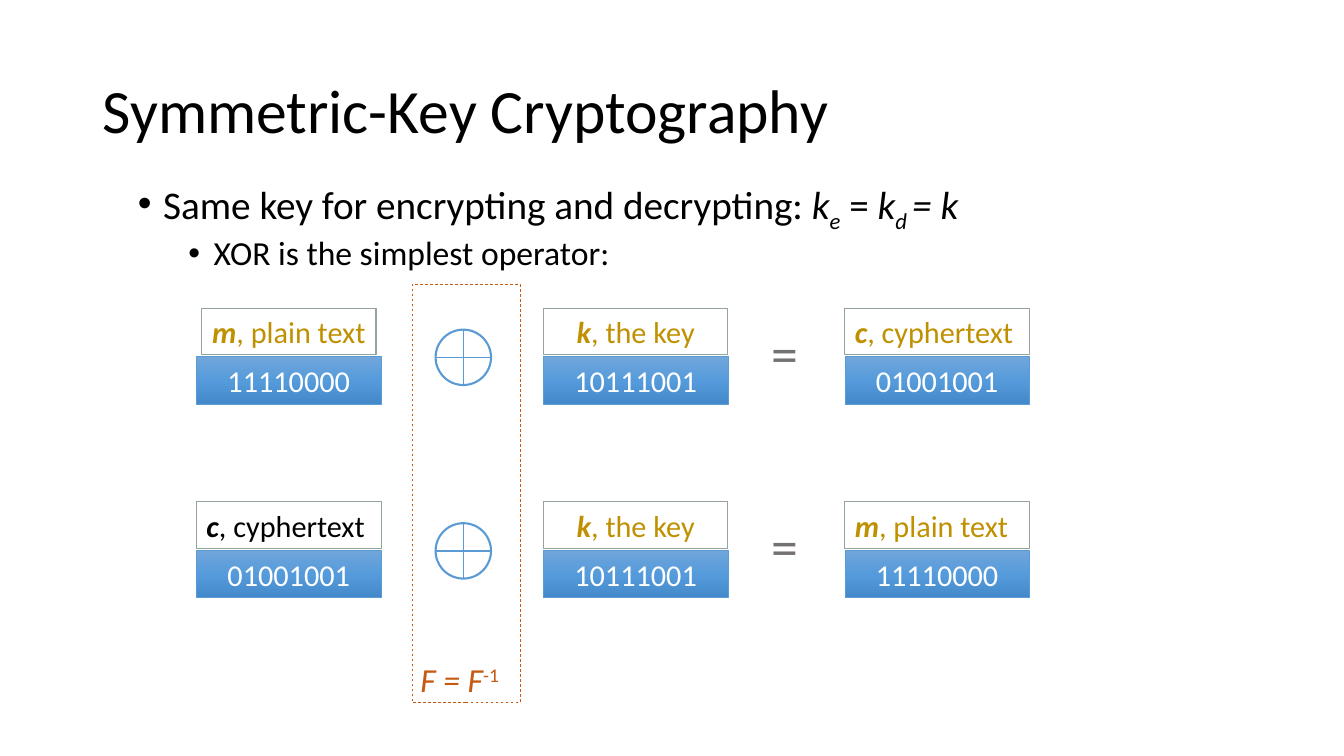
import copy
from dataclasses import dataclass
from typing import Any, NamedTuple, Optional

import pptx
import pptx.dml.color
import pptx.enum.dml
import pptx.enum.shapes
import pptx.enum.text
import pptx.oxml
import pptx.oxml.ns
import pptx.util

Inches = pptx.util.Inches
Pt = pptx.util.Pt
Align = pptx.enum.text.PP_ALIGN
Anchor = pptx.enum.text.MSO_ANCHOR
Preset = pptx.enum.shapes.MSO_SHAPE


@dataclass(frozen=True)
class Theme:
    """Fonts, colours and type sizes."""
    font: str = "Calibri"
    black: str = "000000"
    white: str = "FFFFFF"
    gold: str = "BF9000"
    gray: str = "767171"
    blue: str = "5B9BD5"
    orange: str = "C55A11"
    label_border: str = "95A39D"
    gradient: tuple[str, ...] = ("71A6DB", "559BDB", "448ACA")
    title_size: float = 44
    body_size: float = 28
    detail_size: float = 24
    block_size: float = 21.6
    equals_size: float = 38.4


class Span(NamedTuple):
    """A stretch of text in one format."""
    text: str
    italic: bool = False
    bold: bool = False
    baseline: int = 0


class Box(NamedTuple):
    """A position and size in inches."""
    left: float
    top: float
    width: float
    height: float


@dataclass(frozen=True)
class Block:
    """A labelled group of bits."""
    left: float
    symbol: str
    meaning: str
    bits: str
    color: str = Theme.gold
    align: Any = Align.LEFT
    label_left: Optional[float] = None
    label_width: float = 1.83


@dataclass(frozen=True)
class Equation:
    """A row combining a message and a key by XOR."""
    top: float
    blocks: tuple[Block, Block, Block]


THEME = Theme()
LEFT, MIDDLE, RIGHT = 1.95, 5.39, 8.38
KEY = Block(MIDDLE, "k", ", the key", "10111001", align=Align.CENTER)
EQUATIONS = (
    Equation(3.06, (
        Block(LEFT, "m", ", plain text", "11110000", align=Align.CENTER,
              label_left=2, label_width=1.73),
        KEY,
        Block(RIGHT, "c", ", cyphertext", "01001001"))),
    Equation(4.98, (
        Block(LEFT, "c", ", cyphertext", "01001001", color=THEME.black),
        KEY,
        Block(RIGHT, "m", ", plain text", "11110000"))),
)


def rgb(color: str) -> Any:
    """Turn a hex string into a colour."""
    return pptx.dml.color.RGBColor.from_string(color)


def write_text(shape: Any, *spans: Span, size: float, color: str, align: Any = Align.LEFT,
               anchor: Any = Anchor.TOP, wrap: bool = True, line_spacing: float = 1,
               space_before: float = 0, bullet_indent: float = 0, append: bool = False) -> None:
    """Write one formatted paragraph into a shape."""
    frame = shape.text_frame
    frame.word_wrap = wrap
    frame.vertical_anchor = anchor
    paragraph = frame.add_paragraph() if append else frame.paragraphs[0]
    paragraph.alignment = align
    paragraph.line_spacing = line_spacing
    paragraph.space_before = Pt(space_before)
    if bullet_indent:
        properties = paragraph._p.get_or_add_pPr()
        properties.set("marL", str(Inches(bullet_indent)))
        properties.set("indent", str(Inches(-0.25)))
        for tag, key, value in (("a:buFont", "typeface", "Arial"), ("a:buChar", "char", "•")):
            bullet = pptx.oxml.ns.qn(tag)
            properties.append(properties.makeelement(bullet, {key: value}))
    for span in spans:
        run = paragraph.add_run()
        run.text = span.text
        run.font.name = THEME.font
        run.font.size = Pt(size)
        run.font.color.rgb = rgb(color)
        run.font.italic = span.italic
        run.font.bold = span.bold
        if span.baseline:
            run._r.get_or_add_rPr().set("baseline", str(span.baseline * 1000))


def add_textbox(slide: Any, box: Box) -> Any:
    """Add an empty text box."""
    return slide.shapes.add_textbox(*map(Inches, box))


def add_outline(slide: Any, preset: Any, box: Box, line: str, width: float) -> Any:
    """Add an unfilled preset shape with a coloured outline."""
    shape = slide.shapes.add_shape(preset, *map(Inches, box))
    shape.shadow.inherit = False
    shape.fill.background()
    shape.line.color.rgb = rgb(line)
    shape.line.width = Pt(width)
    return shape


def fill_gradient(shape: Any, colors: tuple[str, ...]) -> None:
    """Fill a shape with evenly spaced colours from top to bottom."""
    shape.fill.gradient()
    shape.fill.gradient_angle = 270
    stop_list = shape._element.spPr.find(".//" + pptx.oxml.ns.qn("a:gsLst"))
    while len(stop_list) < len(colors):
        stop_list.append(copy.deepcopy(stop_list[0]))
    for index, (stop, color) in enumerate(zip(shape.fill.gradient_stops, colors)):
        stop.position = index / (len(colors) - 1)
        stop.color.rgb = rgb(color)


def add_block(slide: Any, block: Block, top: float) -> None:
    """Draw a label above its bits."""
    label_left = block.left if block.label_left is None else block.label_left
    label = add_outline(slide, Preset.RECTANGLE, Box(label_left, top, block.label_width, 0.46),
                        THEME.label_border, 0.75)
    write_text(label, Span(block.symbol, italic=True, bold=True), Span(block.meaning),
               size=THEME.block_size, color=block.color, align=block.align)
    bits = add_outline(slide, Preset.RECTANGLE, Box(block.left, top + 0.48, 1.83, 0.47),
                       THEME.blue, 0.5)
    fill_gradient(bits, THEME.gradient)
    write_text(bits, Span(block.bits), size=THEME.block_size, color=THEME.white,
               align=Align.CENTER, anchor=Anchor.MIDDLE)


def add_xor(slide: Any, left: float, top: float, size: float = 0.55) -> None:
    """Draw a circled plus."""
    add_outline(slide, Preset.OVAL, Box(left, top, size, size), THEME.blue, 1.5)
    center, middle = left + size / 2, top + size / 2
    for ends in ((center, top, center, top + size), (left, middle, left + size, middle)):
        line = slide.shapes.add_connector(pptx.enum.shapes.MSO_CONNECTOR.STRAIGHT,
                                          *map(Inches, ends))
        line.line.color.rgb = rgb(THEME.blue)
        line.line.width = Pt(1)
        properties = line._element.spPr
        properties.append(properties.makeelement(pptx.oxml.ns.qn("a:effectLst"), {}))


def add_equation(slide: Any, equation: Equation) -> None:
    """Draw one row of blocks and operators."""
    for block in equation.blocks:
        add_block(slide, block, equation.top)
    add_xor(slide, 4.32, equation.top + 0.21)
    equals = add_textbox(slide, Box(7.55, equation.top + 0.06, 0.47, 0.75))
    write_text(equals, Span("="), size=THEME.equals_size, color=THEME.gray, wrap=False)


def main() -> None:
    """Build and save the slide."""
    presentation = pptx.Presentation()
    presentation.slide_width = Inches(13.33)
    presentation.slide_height = Inches(7.5)
    slide = presentation.slides.add_slide(presentation.slide_layouts[6])
    title = add_textbox(slide, Box(0.92, 0.4, 11.5, 1.45))
    write_text(title, Span("Symmetric-Key Cryptography"), size=THEME.title_size,
               color=THEME.black, anchor=Anchor.MIDDLE, line_spacing=0.9)
    body = add_textbox(slide, Box(1.27, 1.75, 10, 1.21))
    write_text(body, Span("Same key for encrypting and decrypting: "), Span("k", True),
               Span("e", True, baseline=-25), Span(" = "), Span("k", True),
               Span("d ", True, baseline=-25), Span("= k", True), size=THEME.body_size,
               color=THEME.black, line_spacing=0.9, space_before=10, bullet_indent=0.25)
    write_text(body, Span("XOR is the simplest operator:"), size=THEME.detail_size,
               color=THEME.black, line_spacing=0.9, space_before=5, bullet_indent=0.75,
               append=True)
    for equation in EQUATIONS:
        add_equation(slide, equation)
    frame = add_outline(slide, Preset.RECTANGLE, Box(4.09, 2.82, 1.07, 4.15), THEME.orange, 0.5)
    frame.line.dash_style = pptx.enum.dml.MSO_LINE.DASH
    inverse = add_textbox(slide, Box(4.07, 6.49, 1.01, 0.5))
    write_text(inverse, Span("F = F", True), Span("-1", baseline=30), size=THEME.detail_size,
               color=THEME.orange, wrap=False)
    presentation.save("out.pptx")


if __name__ == "__main__":
    main()
